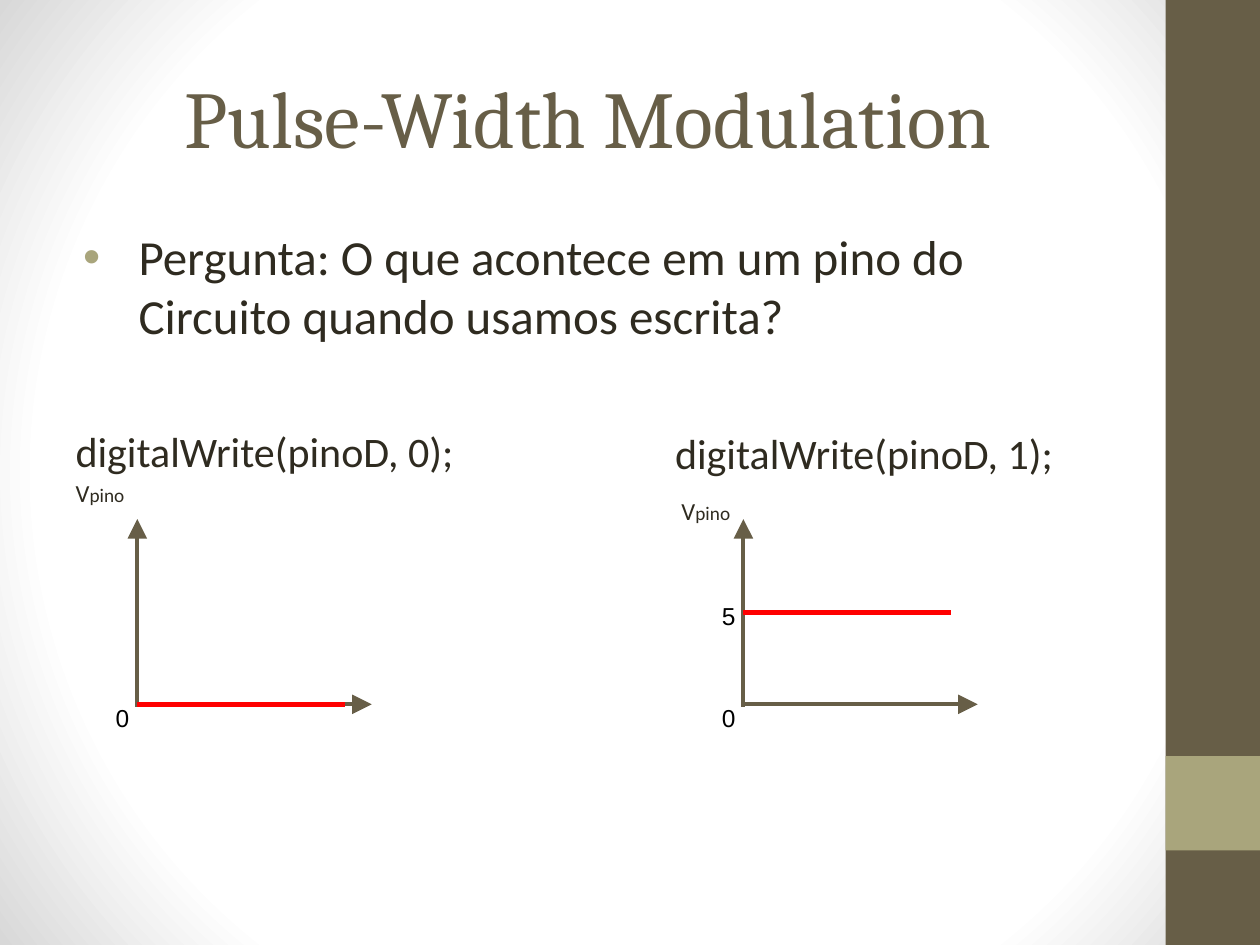
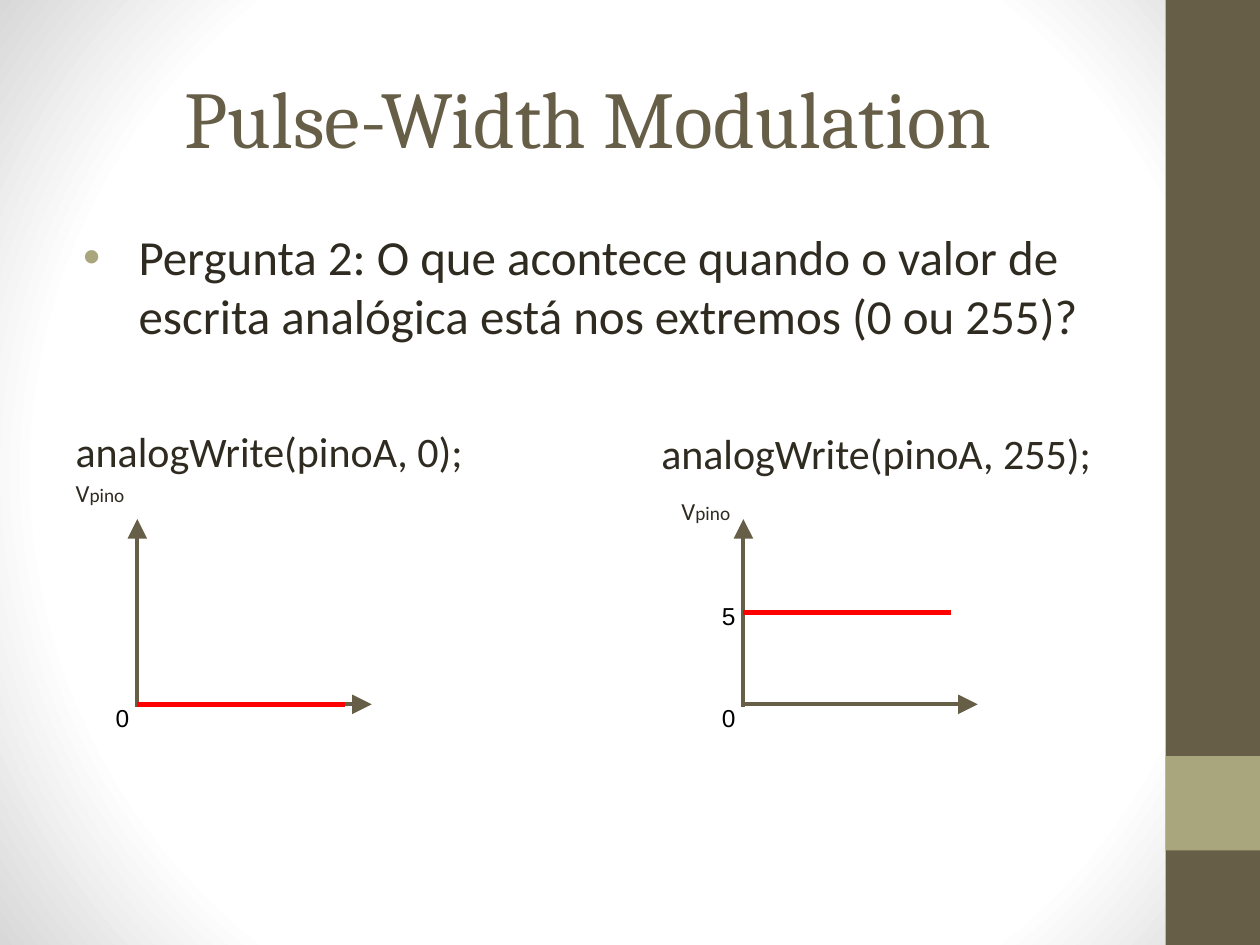
"""Build two slides on pulse-width modulation with pin voltage graphs."""
from dataclasses import dataclass
from typing import Any

import pptx
import pptx.dml.color
import pptx.enum.shapes
import pptx.enum.text
import pptx.oxml
import pptx.oxml.ns
import pptx.util

Inches = pptx.util.Inches
Pt = pptx.util.Pt
qn = pptx.oxml.ns.qn
ANCHOR = pptx.enum.text.MSO_ANCHOR

COLORS = {
    "brown": "675E47",
    "olive": "A9A57C",
    "text": "2F2B20",
    "signal": "FF0000",
    "label": "000000",
    "center": "FFFFFF",
    "edge": "D8D8D8",
}
FRAME = {
    "word_wrap": True,
    "auto_size": pptx.enum.text.MSO_AUTO_SIZE.NONE,
    "margin_left": Inches(0.1),
    "margin_right": Inches(0.1),
}
PLACEHOLDER_FRAME = FRAME | {"margin_top": Inches(0.05), "margin_bottom": Inches(0.05)}
LABEL_FRAME = FRAME | {"margin_top": Inches(0.1), "margin_bottom": Inches(0.1)}
TITLE = "Pulse-Width Modulation"
AXIS_BASE = 5.59
PIN_VOLTAGE = (("V", 14), ("pino", 11))


@dataclass(frozen=True)
class Band:
    top: float
    height: float
    color: str


@dataclass(frozen=True)
class Graph:
    origin: float
    signal_level: float
    scale_labels: dict[str, float]


@dataclass(frozen=True)
class Lesson:
    question: str
    low_call: str
    high_call: str
    high_call_left: float


BANDS = (Band(0, 7.5, "brown"), Band(6, 0.75, "olive"))
GRAPHS = (
    Graph(1.09, AXIS_BASE, {"0": 5.48}),
    Graph(5.9, 4.86, {"0": 5.48, "5": 4.67}),
)
LESSONS = (
    Lesson("Pergunta: O que acontece em um pino do Circuito quando usamos escrita?",
           "digitalWrite(pinoD, 0);", "digitalWrite(pinoD, 1);", 5.26),
    Lesson("Pergunta 2: O que acontece quando o valor de escrita analógica está nos "
           "extremos (0 ou 255)?",
           "analogWrite(pinoA, 0);", "analogWrite(pinoA, 255);", 5.15),
)


def rgb(color: str) -> pptx.dml.color.RGBColor:
    """Return the named colour."""
    return pptx.dml.color.RGBColor.from_string(COLORS[color])


def apply_format(target: Any, values: dict[str, Any]) -> None:
    """Set every attribute in values on the target."""
    for name, value in values.items():
        setattr(target, name, value)


def box(left: float, top: float, width: float, height: float) -> dict[str, int]:
    """Return position and size attributes."""
    return {"left": Inches(left), "top": Inches(top),
            "width": Inches(width), "height": Inches(height)}


def add_xml(parent: Any, tag: str, **attributes: str) -> Any:
    """Append a drawing element with attributes."""
    element = parent.makeelement(qn(tag), attributes)
    parent.append(element)
    return element


def add_runs(paragraph: Any, runs: tuple, color: str = "text", font: str = "Calibri") -> None:
    """Add runs given as pairs of text and point size."""
    for text, size in runs:
        run = paragraph.add_run()
        run.text = text
        apply_format(run.font, {"name": font, "size": Pt(size)})
        run.font.color.rgb = rgb(color)


def style_master(presentation: Any, slide: Any) -> None:
    """Give the master its radial background and side bands."""
    master = presentation.slide_master
    master.background.fill.gradient()
    gradient = master.element.find(f".//{qn('p:bgPr')}/{qn('a:gradFill')}")
    stops = "".join(
        f'<a:gs pos="{position}"><a:srgbClr val="{COLORS[color]}"/></a:gs>'
        for position, color in ((0, "center"), (75000, "center"), (100000, "edge")))
    radial = pptx.oxml.parse_xml(
        f'<a:gradFill {pptx.oxml.ns.nsdecls("a")} rotWithShape="1"><a:gsLst>{stops}</a:gsLst>'
        '<a:path path="circle"><a:fillToRect l="50000" t="50000" r="50000" b="50000"/>'
        '</a:path></a:gradFill>')
    gradient.getparent().replace(gradient, radial)
    for index, band in enumerate(BANDS):
        shape = slide.shapes.add_shape(
            pptx.enum.shapes.MSO_SHAPE.RECTANGLE,
            **box(9.25, band.top, 0.75, band.height))
        shape.shadow.inherit = False
        shape.fill.solid()
        shape.fill.fore_color.rgb = rgb(band.color)
        shape.line.fill.background()
        shape.element.nvSpPr.cNvPr.set("id", str(100 + index))
        master.shapes.element.insert(2 + index, shape.element)


def add_title(slide: Any) -> None:
    """Fill the title placeholder."""
    title = slide.shapes.title
    apply_format(title, box(0.5, 0.3, 8.33, 1.25))
    apply_format(title.text_frame, PLACEHOLDER_FRAME | {"vertical_anchor": ANCHOR.MIDDLE})
    paragraph = title.text_frame.paragraphs[0]
    paragraph.alignment = pptx.enum.text.PP_ALIGN.CENTER
    add_runs(paragraph, ((TITLE, 46),), "brown", "Cambria")


def add_body(slide: Any, lesson: Lesson) -> None:
    """Fill the body with the question, the low call and its axis name."""
    body = slide.placeholders[1]
    apply_format(body, box(0.5, 1.75, 8.33, 5.25))
    frame = body.text_frame
    apply_format(frame, PLACEHOLDER_FRAME | {"vertical_anchor": ANCHOR.TOP})
    rows = ((((lesson.question, 28),), 4.4), (((lesson.low_call, 24),), 46.3), (PIN_VOLTAGE, 1))
    for index, (runs, space) in enumerate(rows):
        paragraph = frame.add_paragraph() if index else frame.paragraphs[0]
        apply_format(paragraph, {"space_before": Pt(space), "space_after": Pt(0)})
        add_runs(paragraph, runs)
        properties = paragraph._p.get_or_add_pPr()
        if index:
            properties.set("marL", "0")
            properties.set("indent", "0")
            add_xml(properties, "a:buNone")
        else:
            properties.set("marL", str(Inches(0.5)))
            properties.set("indent", str(Inches(-0.44)))
            bullet_color = add_xml(properties, "a:buClr")
            add_xml(bullet_color, "a:srgbClr", val=COLORS["olive"])
            add_xml(properties, "a:buFont", typeface="Arial")
            add_xml(properties, "a:buChar", char="•")


def add_line(slide: Any, start: tuple[float, float], end: tuple[float, float],
             color: str, width: float, arrow: bool = False) -> None:
    """Draw a straight line, with an arrowhead at its end if asked."""
    connector = slide.shapes.add_connector(
        pptx.enum.shapes.MSO_CONNECTOR.STRAIGHT, *map(Inches, start + end))
    connector.line.color.rgb = rgb(color)
    connector.line.width = Pt(width)
    properties = connector.element.spPr
    if arrow:
        add_xml(properties.find(qn("a:ln")), "a:tailEnd", type="triangle", w="lg", len="lg")
    add_xml(properties, "a:effectLst")


def add_label(slide: Any, position: dict[str, int], runs: tuple, color: str = "text",
              font: str = "Calibri", anchor: Any = ANCHOR.TOP, space: float = 0) -> None:
    """Add a text label."""
    frame = slide.shapes.add_textbox(**position).text_frame
    apply_format(frame, LABEL_FRAME | {"vertical_anchor": anchor})
    frame.paragraphs[0].space_before = Pt(space)
    add_runs(frame.paragraphs[0], runs, color, font)


def add_graph(slide: Any, graph: Graph) -> None:
    """Draw the axes, the signal and the scale labels."""
    left = graph.origin
    add_line(slide, (left, AXIS_BASE + 0.02), (left, 4.12), "brown", 2.25, True)
    add_line(slide, (left, AXIS_BASE), (left + 1.86, AXIS_BASE), "brown", 2.25, True)
    add_line(slide, (left, graph.signal_level), (left + 1.65, graph.signal_level), "signal", 3)
    for text, top in graph.scale_labels.items():
        add_label(slide, box(left - 0.27, top, 0.28, 0.36), ((text, 14),), "label", "Arial")


def main() -> None:
    """Build and save the presentation."""
    presentation = pptx.Presentation()
    apply_format(presentation, {"slide_width": Inches(10), "slide_height": Inches(7.5)})
    for index, lesson in enumerate(LESSONS):
        slide = presentation.slides.add_slide(presentation.slide_layouts[1])
        if index == 0:
            style_master(presentation, slide)
        add_title(slide)
        add_body(slide, lesson)
        add_label(slide, box(lesson.high_call_left, 3.29, 3.8, 0.6), ((lesson.high_call, 24),))
        for graph in GRAPHS:
            add_graph(slide, graph)
        add_label(slide, box(5.31, 3.87, 0.59, 0.36), PIN_VOLTAGE,
                  anchor=ANCHOR.MIDDLE, space=4.4)
    presentation.save("out.pptx")


if __name__ == "__main__":
    main()
